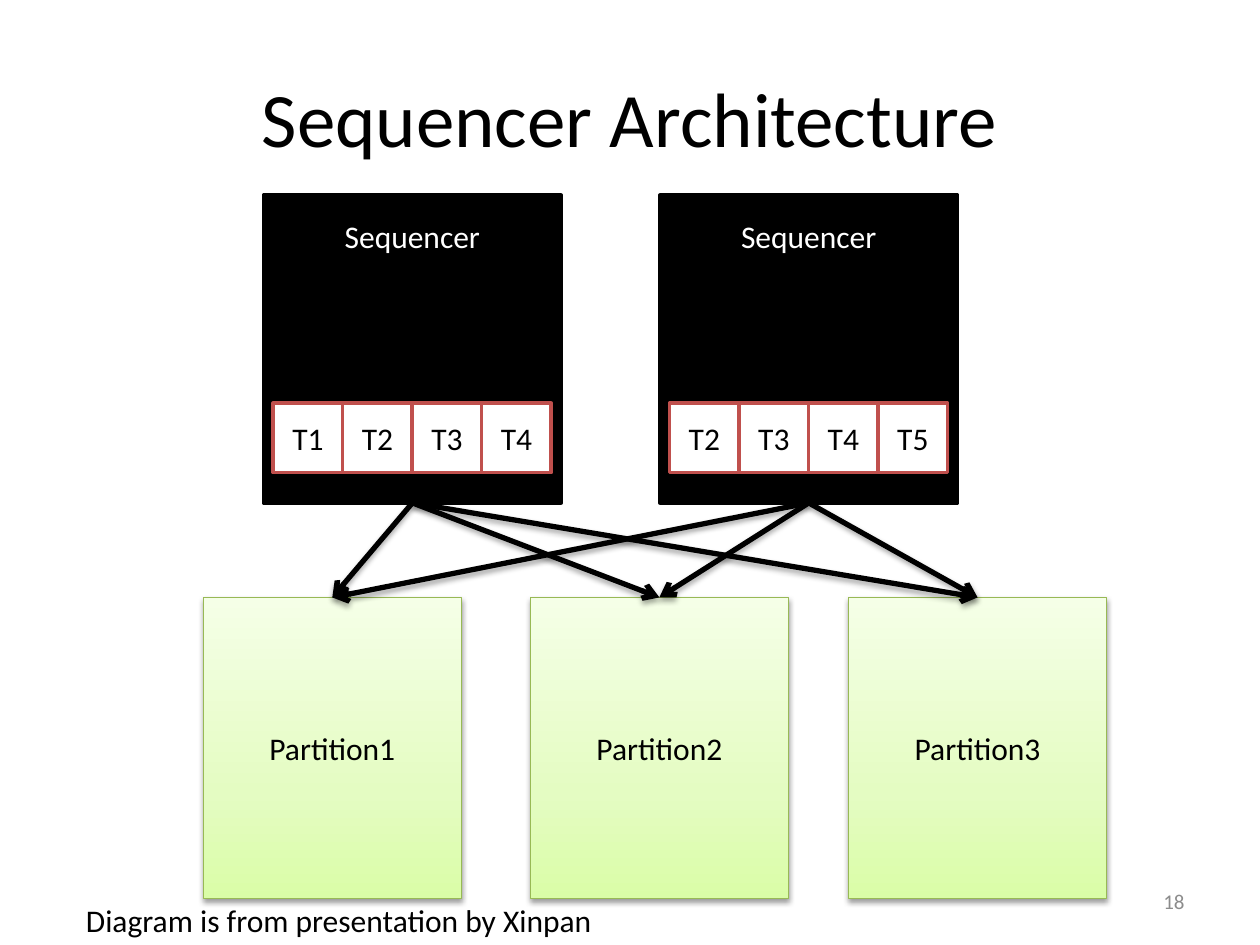
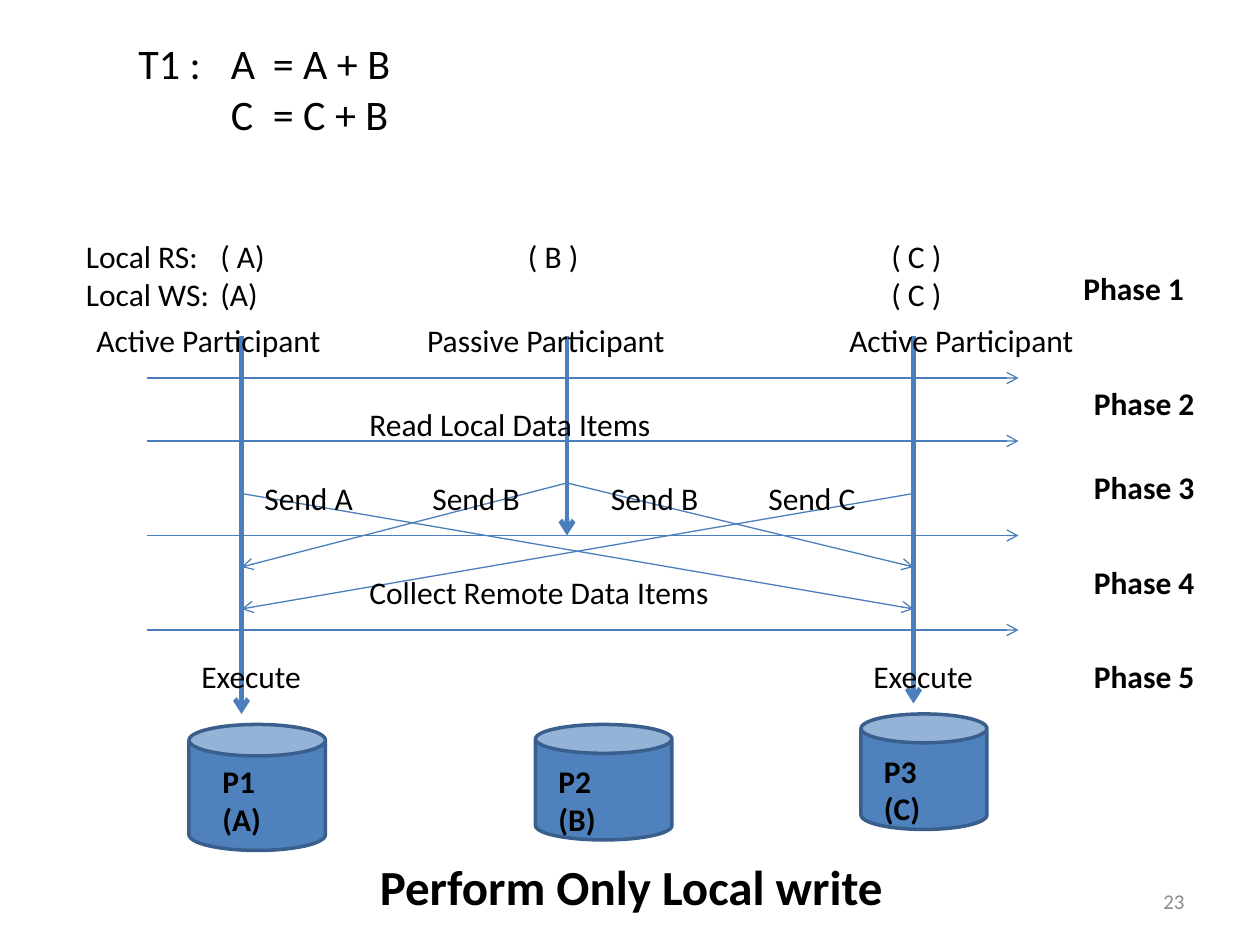
"""Build two slides on sequencer architecture and the phases of a transaction."""
import copy
import dataclasses

import pptx
import pptx.dml.color
import pptx.enum.shapes
import pptx.enum.text
import pptx.oxml.ns
import pptx.util
from lxml import etree

SHAPE = pptx.enum.shapes.MSO_SHAPE
ALIGN = pptx.enum.text.PP_ALIGN
ANCHOR = pptx.enum.text.MSO_ANCHOR
qn = pptx.oxml.ns.qn


@dataclasses.dataclass(frozen=True)
class Theme:
    """Hold the colours, font and type sizes of the deck."""
    font: str = "Calibri"
    ink: str = "000000"
    paper: str = "FFFFFF"
    muted: str = "8C8C8C"
    red: str = "C0504D"
    blue: str = "4F81BD"
    arrow_blue: str = "4B7EBC"
    dark_blue: str = "3A5F8C"
    green: str = "98B955"
    green_stops: tuple = ((0, "DAFDA7"), (0.35, "E4FCC2"), (1, "F5FFE7"))
    title: int = 44
    heading: int = 28
    formula: int = 24
    body: int = 18
    small: int = 12


THEME = Theme()
COLUMNS, ROWS = 120, 90
WIDTH, HEIGHT = pptx.util.Inches(10), pptx.util.Inches(7.5)


def across(columns):
    """Turn grid columns into a length."""
    return round(WIDTH * columns / COLUMNS)


def down(rows):
    """Turn grid rows into a length."""
    return round(HEIGHT * rows / ROWS)


def grid_area(left, top, width, height):
    """Turn a grid area into slide lengths."""
    return across(left), down(top), across(width), down(height)


def rgb(colour):
    """Turn a hex string into a colour."""
    return pptx.dml.color.RGBColor.from_string(colour)


def apply_format(target, values):
    """Set every attribute named in a dict."""
    for name, value in values.items():
        setattr(target, name, value)


def write_text(frame, lines, size=THEME.body, colour=THEME.ink, bold=False,
               align=ALIGN.LEFT, anchor=ANCHOR.TOP, tabs=()):
    """Write one paragraph per line, with tab stops given in columns."""
    apply_format(frame, {"word_wrap": True, "vertical_anchor": anchor})
    for index, line in enumerate(lines):
        para = frame.add_paragraph() if index else frame.paragraphs[0]
        para.alignment = align
        span = para.add_run()
        span.text = line
        apply_format(span.font, {"name": THEME.font, "bold": bold,
                                 "size": pptx.util.Pt(size)})
        span.font.color.rgb = rgb(colour)
        if tabs:
            stops = etree.SubElement(para._p.get_or_add_pPr(), qn("a:tabLst"))
            for stop in tabs:
                etree.SubElement(stops, qn("a:tab"), pos=str(across(stop)), algn="l")


def add_label(page, area, *lines, **text_format):
    """Add a text box."""
    box = page.shapes.add_textbox(*grid_area(*area))
    write_text(box.text_frame, lines, **text_format)


def add_box(page, kind, area, fill, line, weight, text="", **text_format):
    """Add a filled shape, with centred text unless told otherwise."""
    box = page.shapes.add_shape(kind, *grid_area(*area))
    box.shadow.inherit = False
    box.line.color.rgb = rgb(line)
    box.line.width = pptx.util.Pt(weight)
    if isinstance(fill, str):
        box.fill.solid()
        box.fill.fore_color.rgb = rgb(fill)
    else:
        fill_gradient(box, fill)
    if text:
        centred = {"align": ALIGN.CENTER, "anchor": ANCHOR.MIDDLE}
        write_text(box.text_frame, [text], **{**centred, **text_format})
    return box


def fill_gradient(box, colours):
    """Fill a shape from bottom to top with three colour stops."""
    box.fill.gradient()
    box.fill.gradient_angle = 90
    stop_list = box._element.spPr.find(".//" + qn("a:gsLst"))
    stop_list.append(copy.deepcopy(stop_list[1]))
    for stop, (position, colour) in zip(box.fill.gradient_stops, colours):
        stop.position = position
        stop.color.rgb = rgb(colour)


def add_shadow(effects, distance, opacity):
    """Put a soft black shadow below an element."""
    shadow = etree.SubElement(effects, qn("a:outerShdw"), blurRad="40000",
                              dist=str(distance), dir="5400000", rotWithShape="0")
    colour = etree.SubElement(shadow, qn("a:srgbClr"), val=THEME.ink)
    etree.SubElement(colour, qn("a:alpha"), val=str(opacity * 1000))


def add_arrow(page, start, end, colour=THEME.arrow_blue, weight=0.75, shadow=False):
    """Add a straight arrow between two grid points."""
    arrow = page.shapes.add_connector(
        pptx.enum.shapes.MSO_CONNECTOR.STRAIGHT,
        across(start[0]), down(start[1]), across(end[0]), down(end[1]))
    arrow.line.color.rgb = rgb(colour)
    arrow.line.width = pptx.util.Pt(weight)
    etree.SubElement(arrow.line._get_or_add_ln(), qn("a:tailEnd"), type="arrow")
    effects = etree.SubElement(arrow._element.spPr, qn("a:effectLst"))
    if shadow:
        add_shadow(effects, 23000, 35)


def add_page(deck, number, title=None):
    """Add a page with its number and, if given, a title."""
    page = deck.slides.add_slide(deck.slide_layouts[5 if title else 6])
    if title:
        left, top, width, height = grid_area(6, 3.6, 108, 15)
        apply_format(page.shapes.title, {"left": left, "top": top,
                                         "width": width, "height": height})
        write_text(page.shapes.title.text_frame, [title], size=THEME.title,
                   align=ALIGN.CENTER, anchor=ANCHOR.MIDDLE)
    add_label(page, (86, 83.4, 28, 4.8), str(number), size=THEME.small,
              colour=THEME.muted, align=ALIGN.RIGHT, anchor=ANCHOR.MIDDLE)
    return page


def add_sequencer(page, left, top, width, height, transactions):
    """Add a sequencer with its queue of transactions."""
    box = add_box(page, SHAPE.RECTANGLE, (left, top, width, height), THEME.ink,
                  THEME.ink, 2, "Sequencer", colour=THEME.paper, anchor=ANCHOR.TOP)
    box.text_frame.margin_top = down(2.1)
    cell = 6.62
    for index, name in enumerate(transactions):
        add_box(page, SHAPE.RECTANGLE,
                (left + 0.92 + index * cell, top + 19.8, cell, cell),
                THEME.paper, THEME.red, 2, name)


def build_architecture(deck):
    """Build the slide that links sequencers to partitions."""
    page = add_page(deck, 18, "Sequencer Architecture")
    top, width, height = 18.6, 28.35, 29.3
    queues = {25.1: ("T1", "T2", "T3", "T4"), 62.85: ("T2", "T3", "T4", "T5")}
    for left, transactions in queues.items():
        add_sequencer(page, left, top, width, height, transactions)
    partition_lefts, partition_top, partition_width = (19.35, 50.5, 80.8), 56.9, 24.6
    for number, left in enumerate(partition_lefts, 1):
        box = add_box(page, SHAPE.RECTANGLE,
                      (left, partition_top, partition_width, 28.7),
                      THEME.green_stops, THEME.green, 0.75, f"Partition{number}")
        add_shadow(box._element.spPr.find(qn("a:effectLst")), 20000, 38)
    for source in queues:
        for target in partition_lefts:
            add_arrow(page, (source + width / 2, top + height),
                      (target + partition_width / 2, partition_top),
                      THEME.ink, 3, shadow=True)
    add_label(page, (7, 85.2, 62, 4.8), "Diagram is from presentation by Xinpan")


def build_phases(deck):
    """Build the slide that shows five phases over three participants."""
    page = add_page(deck, 23)
    first, second, third = 23, 54, 87
    for column, end in ((first, 68), (second, 51), (third, 67)):
        add_arrow(page, (column, 32), (column, end), weight=2.75)
    for row in (36, 42, 51, 60):
        add_arrow(page, (14, row), (97, row))
    for target in (first, third):
        add_arrow(page, (second, 46), (target, 54))
        add_arrow(page, (first + third - target, 47), (target, 58))

    stores = (("P1", "(A)", (18, 69, 13, 12), 20), ("P2", "(B)", (51, 69, 13, 11), 52),
              ("P3", "(C)", (82, 68, 12, 11), 83))
    for name, item, area, text_left in stores:
        add_box(page, SHAPE.CAN, area, THEME.blue, THEME.dark_blue, 2)
        add_label(page, (text_left, area[1] + 3, 9, 8.5), name, item, bold=True)

    add_label(page, (12, 3, 62, 11), "T1 :\tA\t= A + B", "\tC\t= C + B",
              size=THEME.formula, tabs=(8.8, 12.8))
    add_label(page, (7, 22, 93, 8.5), "Local RS:\t( A)\t( B )\t( C )",
              "Local WS:\t(A)\t\t( C )", tabs=(12.8, 42.1, 76.7))
    add_label(page, (6, 30, 99, 4.8),
              "\tActive Participant\tPassive Participant\tActive Participant",
              tabs=(2, 33.5, 73.7))
    labels = (("Read Local Data Items", 34, 38, 41),
              ("Collect Remote Data Items", 34, 54, 41),
              ("Send A", 24, 45, 12), ("Send B", 40, 45, 12),
              ("Send B", 57, 45, 12), ("Send C", 72, 45, 12),
              ("Execute", 18, 62, 12), ("Execute", 82, 62, 12))
    for text, left, top, width in labels:
        add_label(page, (left, top, width, 4.8), text)
    for number, top in enumerate((25, 36, 44, 53, 62), 1):
        add_label(page, (102 if number == 1 else 103, top, 12, 4.8),
                  f"Phase {number}", bold=True)
    add_label(page, (35, 81, 53, 6.8), "Perform Only Local write",
              size=THEME.heading, bold=True)


def main():
    """Build and save the deck."""
    deck = pptx.Presentation()
    apply_format(deck, {"slide_width": WIDTH, "slide_height": HEIGHT})
    build_architecture(deck)
    build_phases(deck)
    deck.save("out.pptx")


if __name__ == "__main__":
    main()
